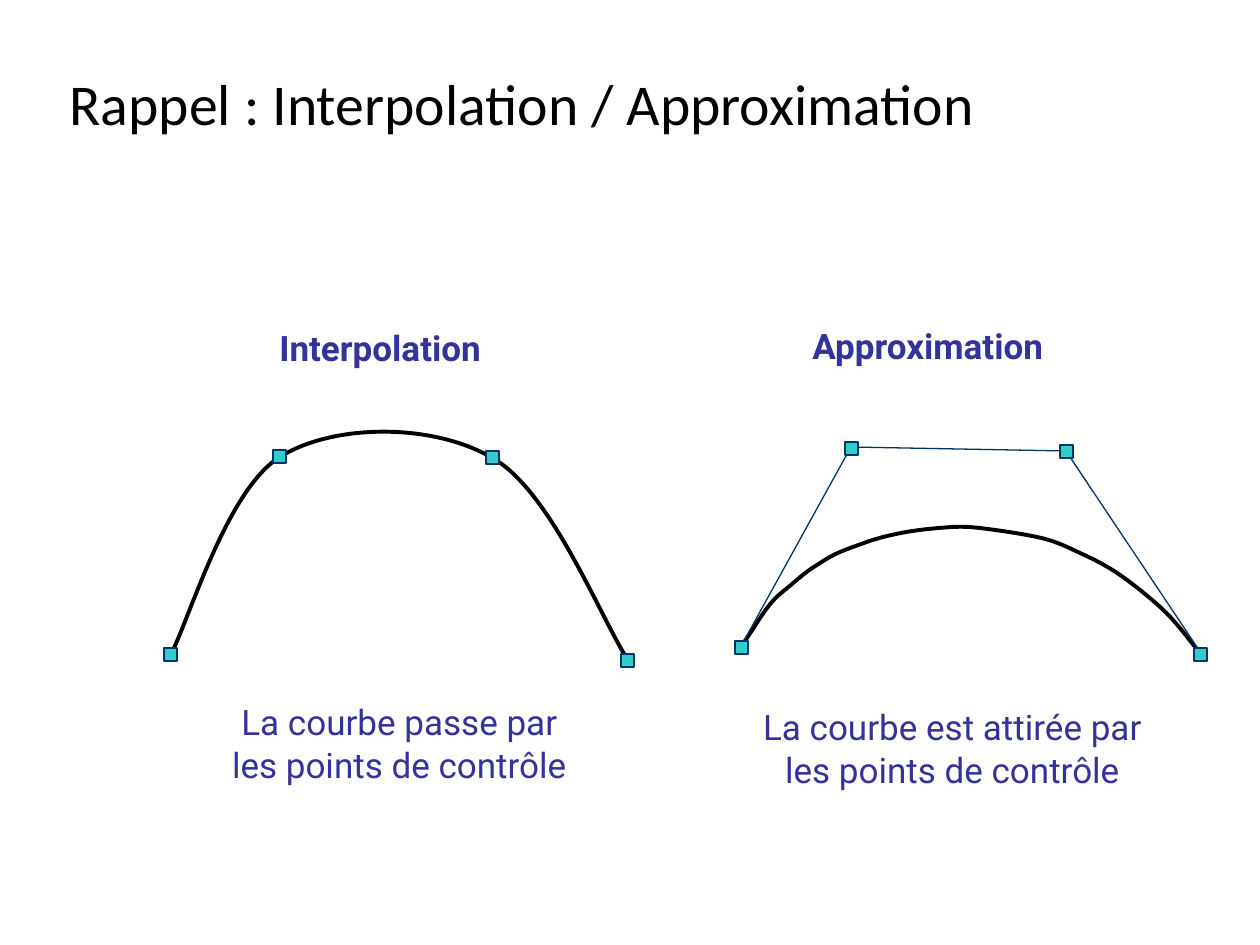
from pptx import Presentation
from pptx.dml.color import RGBColor
from pptx.enum.shapes import MSO_SHAPE
from pptx.enum.text import MSO_ANCHOR, MSO_AUTO_SIZE, PP_ALIGN
from pptx.oxml.ns import qn
from pptx.util import Emu, Pt

RECT = MSO_SHAPE.RECTANGLE
LEFT, MID = PP_ALIGN.LEFT, PP_ALIGN.CENTER
BLACK = RGBColor(0, 0, 0)
NAVY = RGBColor(0x00, 0x33, 0x66)
TEAL = RGBColor(0x33, 0xCC, 0xCC)
INDIGO = RGBColor(0x33, 0x33, 0x99)

PX = 914400 / 126
DOT = 13

TITLE = ("Rappel : Interpolation / Approximation", (57, 19, 1134, 180))
HEADS = [
    ("Interpolation", (267, 320, 265, 55)),
    ("Approximation", (800, 318, 301, 55)),
]
NOTES = [
    ("La courbe passe par les points de contrôle", (217, 694, 365, 97)),
    ("La courbe est attirée par les points de contrôle", (740, 699, 425, 97)),
]
ARCH = [
    (170, 656), (188, 624), (226, 490), (280, 457), (334, 423),
    (435, 423), (494, 459), (552, 493), (601, 619), (629, 662),
]
KNOTS = [
    (740, 649), (755, 626), (772, 602), (791, 585), (814, 567), (838, 553),
    (867, 542), (907, 532), (940, 528), (979, 528), (1041, 538), (1082, 554),
    (1120, 575), (1159, 606), (1179, 627), (1201, 654),
]
HULL = [(740, 648), (851, 447), (1066, 451), (1201, 653)]
DOTS = [
    (1194, 648), (845, 442), (735, 641), (1060, 445),
    (621, 654), (486, 451), (273, 450), (164, 648),
]


def emu(*nums):
    return [Emu(round(n * PX)) for n in nums]


def write(box, text, size=20, font="Roboto", color=INDIGO, bold=False,
          align=LEFT, space=1.01):
    frame = box.text_frame
    frame.word_wrap = True
    frame.text = text
    para = frame.paragraphs[0]
    para.alignment = align
    para.line_spacing = space
    face = para.runs[0].font
    face.name, face.size, face.bold = font, Pt(size), bold
    face.color.rgb = color
    return frame


def smooth(knots):
    ends = [knots[0], *knots, knots[-1]]
    out = [knots[0]]
    for a, b, c, d in zip(ends, ends[1:], ends[2:], ends[3:]):
        out.append(tuple(q + (r - p) / 6 for p, q, r in zip(a, b, c)))
        out.append(tuple(r - (s - q) / 6 for q, r, s in zip(b, c, d)))
        out.append(c)
    return out


def trace(shapes, points, color, width, curved=False):
    pen = shapes.build_freeform(*points[0], scale=PX)
    pen.add_line_segments(points[1:], close=False)
    shape = pen.convert_to_shape()
    shape.shadow.inherit = False
    shape.fill.background()
    shape.line.color.rgb = color
    shape.line.width = Pt(width)
    if curved:
        route = next(shape.element.iter(qn("a:path")))
        steps = route.findall(qn("a:lnTo"))
        for i in range(0, len(steps), 3):
            bend = route.makeelement(qn("a:cubicBezTo"), {})
            steps[i].addprevious(bend)
            for step in steps[i:i + 3]:
                bend.append(step[0])
                route.remove(step)


def mark(shapes, x, y):
    dot = shapes.add_shape(RECT, *emu(x, y, DOT, DOT))
    dot.shadow.inherit = False
    dot.fill.solid()
    dot.fill.fore_color.rgb = TEAL
    dot.line.color.rgb = NAVY
    dot.line.width = Pt(0.75)


def main():
    deck = Presentation()
    deck.slide_width, deck.slide_height = emu(1260, 945)
    slide = deck.slides.add_slide(deck.slide_layouts[5])
    shapes = slide.shapes

    title = shapes.title
    text, place = TITLE
    title.left, title.top, title.width, title.height = emu(*place)
    frame = write(title, text, size=33, font="Calibri", color=BLACK, space=0.9)
    frame.vertical_anchor = MSO_ANCHOR.MIDDLE
    frame.auto_size = MSO_AUTO_SIZE.NONE
    frame.margin_top = Pt(1)

    trace(shapes, smooth(KNOTS), BLACK, 2.25, curved=True)
    trace(shapes, HULL, NAVY, 0.75)
    trace(shapes, ARCH, BLACK, 2.25, curved=True)
    for x, y in DOTS:
        mark(shapes, x, y)

    for text, place in HEADS:
        write(shapes.add_textbox(*emu(*place)), text, bold=True)
    for text, place in NOTES:
        write(shapes.add_textbox(*emu(*place)), text, align=MID)

    deck.save("out.pptx")


if __name__ == "__main__":
    main()
